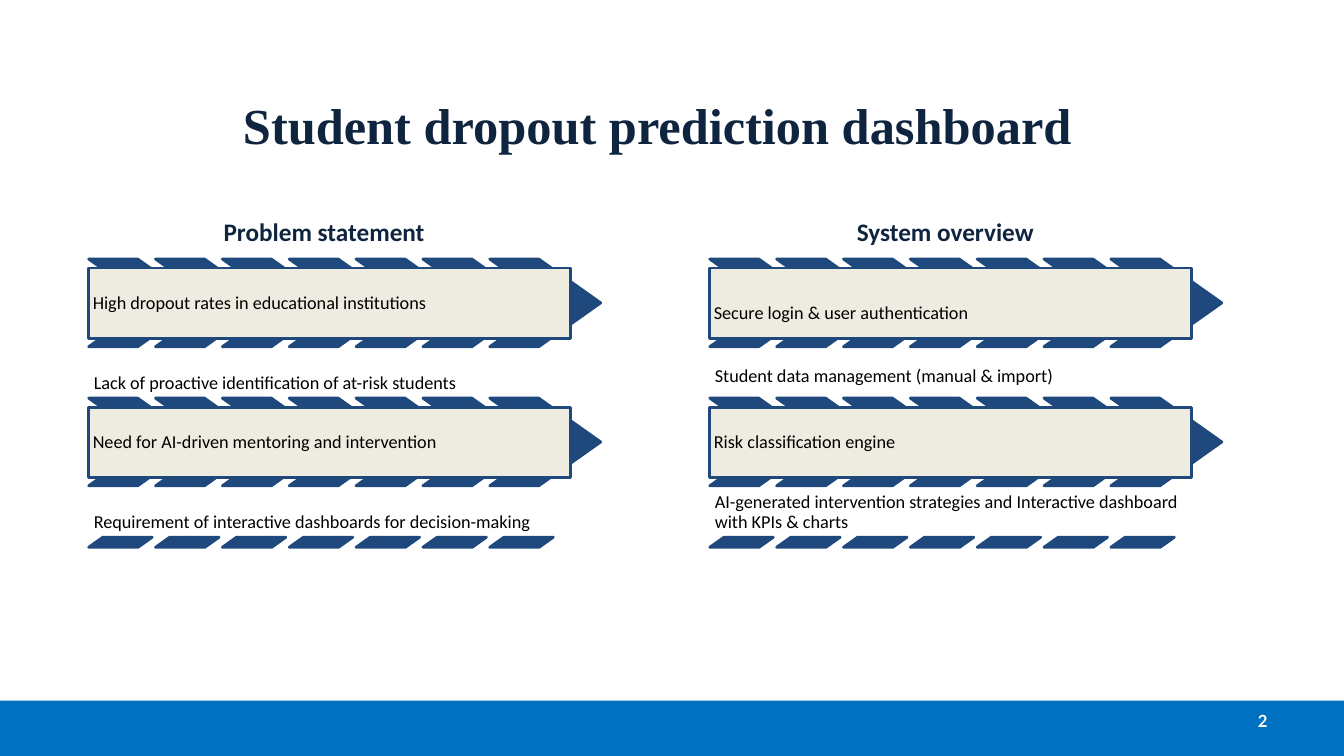
"""Build the student dropout prediction dashboard slide with its two columns of points."""
from dataclasses import dataclass

from pptx import Presentation
from pptx.dml.color import RGBColor
from pptx.enum.shapes import MSO_SHAPE as Shape
from pptx.enum.text import MSO_ANCHOR as Anchor, PP_ALIGN as Align
from pptx.util import Inches, Pt


@dataclass(frozen=True)
class Theme:
    navy: str = "0F243E"
    blue: str = "1F497D"
    band: str = "0070C0"
    cream: str = "EEECE1"
    black: str = "000000"
    white: str = "FFFFFF"
    title_size: int = 36
    heading_size: int = 18
    body_size: int = 13
    number_size: int = 12
    title_font: str = "Times New Roman"
    body_font: str = "Calibri"
    number_font: str = "Lato"


theme = Theme()


def add_block(page, kind, left, top, width, height, fill, line=None):
    block = page.shapes.add_shape(kind, Inches(left), Inches(top), Inches(width), Inches(height))
    block.shadow.inherit = False
    block.fill.solid()
    block.fill.fore_color.rgb = RGBColor.from_string(fill)
    if line:
        block.line.color.rgb = RGBColor.from_string(line)
        block.line.width = Pt(2)
    else:
        block.line.fill.background()
    return block


def set_text(box, text, size, font, color, bold=False, align=Align.LEFT,
             anchor=Anchor.MIDDLE, inset=0.05, spacing=0.9):
    frame = box.text_frame
    frame.text = text
    frame.word_wrap = True
    frame.vertical_anchor = anchor
    frame.margin_left = frame.margin_right = Inches(inset)
    frame.margin_top = frame.margin_bottom = Inches(inset)
    para = frame.paragraphs[0]
    para.alignment = align
    para.line_spacing = spacing
    span = para.runs[0].font
    span.size, span.name, span.bold = Pt(size), font, bold
    span.color.rgb = RGBColor.from_string(color)


deck = Presentation()
deck.slide_width, deck.slide_height = Inches(13.33), Inches(7.5)
page = deck.slides.add_slide(deck.slide_layouts[5])

add_block(page, Shape.RECTANGLE, 0, 6.95, 13.33, 0.55, theme.band)

title = page.shapes.title
title.left, title.top, title.width, title.height = (Inches(n) for n in (0.52, 0.61, 12, 1.25))
set_text(title, "Student dropout prediction dashboard", theme.title_size, theme.title_font,
         theme.navy, bold=True, align=Align.CENTER, spacing=1.0)

number = page.shapes.add_textbox(Inches(9.56), Inches(6.95), Inches(3.11), Inches(0.4))
set_text(number, "2", theme.number_size, theme.number_font, theme.white, bold=True,
         align=Align.RIGHT, inset=0.1, spacing=1.0)

columns = [
    (0.88, "Problem statement", Anchor.BOTTOM, 0.04, [
        ("High dropout rates in educational institutions",
         "Lack of proactive identification of at-risk students"),
        ("Need for AI-driven mentoring and intervention",
         "Requirement of interactive dashboards for decision-making"),
    ]),
    (7.04, "System overview", Anchor.MIDDLE, 0.24, [
        ("Secure login & user authentication",
         "Student data management (manual & import)"),
        ("Risk classification engine",
         "AI-generated intervention strategies and Interactive dashboard with KPIs & charts"),
    ]),
]
row_tops = (2.57, 3.95)
mark_count, mark_pitch = 7, 0.663

for left, heading, first_anchor, first_inset, rows in columns:
    heading_box = page.shapes.add_textbox(Inches(left - 0.02), Inches(2.09), Inches(4.71), Inches(0.43))
    set_text(heading_box, heading, theme.heading_size, theme.body_font, theme.navy, bold=True,
             align=Align.CENTER, anchor=Anchor.BOTTOM, inset=0.07)

    anchors = (first_anchor, Anchor.BOTTOM)
    top_insets = (first_inset, 0.04)
    for top, (point, detail), anchor, top_inset in zip(row_tops, rows, anchors, top_insets):
        for mark in range(mark_count):
            chevron = add_block(page, Shape.CHEVRON, left + mark * mark_pitch, top, 1.1, 0.87,
                                theme.blue, theme.blue)
            chevron.adjustments[0] = 0.706
        panel = add_block(page, Shape.RECTANGLE, left, top + 0.09, 4.78, 0.7, theme.cream, theme.blue)
        set_text(panel, point, theme.body_size, theme.body_font, theme.black, inset=0.04)
        panel.text_frame.margin_top = Inches(top_inset)
        detail_box = page.shapes.add_textbox(Inches(left), Inches(top + 0.95), Inches(4.71), Inches(0.43))
        set_text(detail_box, detail, theme.body_size, theme.body_font, theme.black, anchor=anchor)

    for mark in range(mark_count):
        slant = add_block(page, Shape.PARALLELOGRAM, left + mark * mark_pitch, 5.33, 0.63, 0.1,
                          theme.blue, theme.blue)
        slant.adjustments[0] = 1.408

deck.save("out.pptx")
